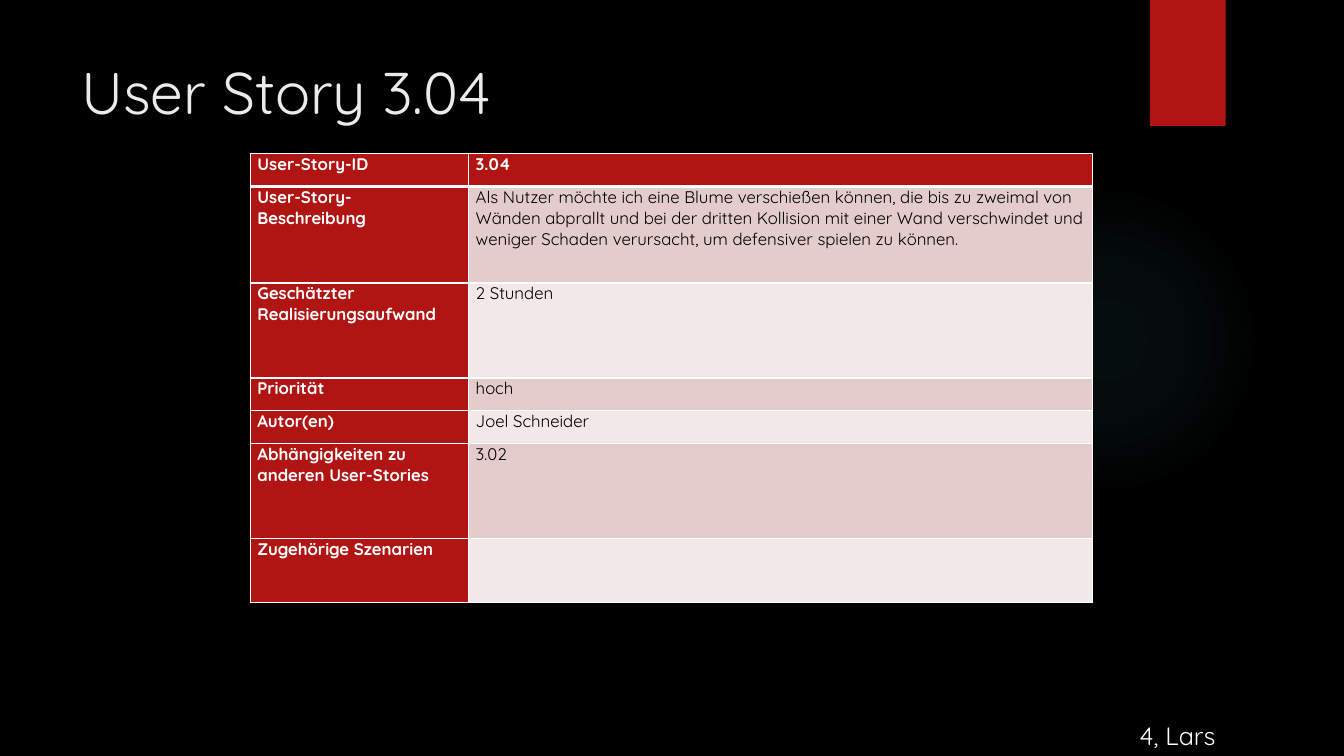
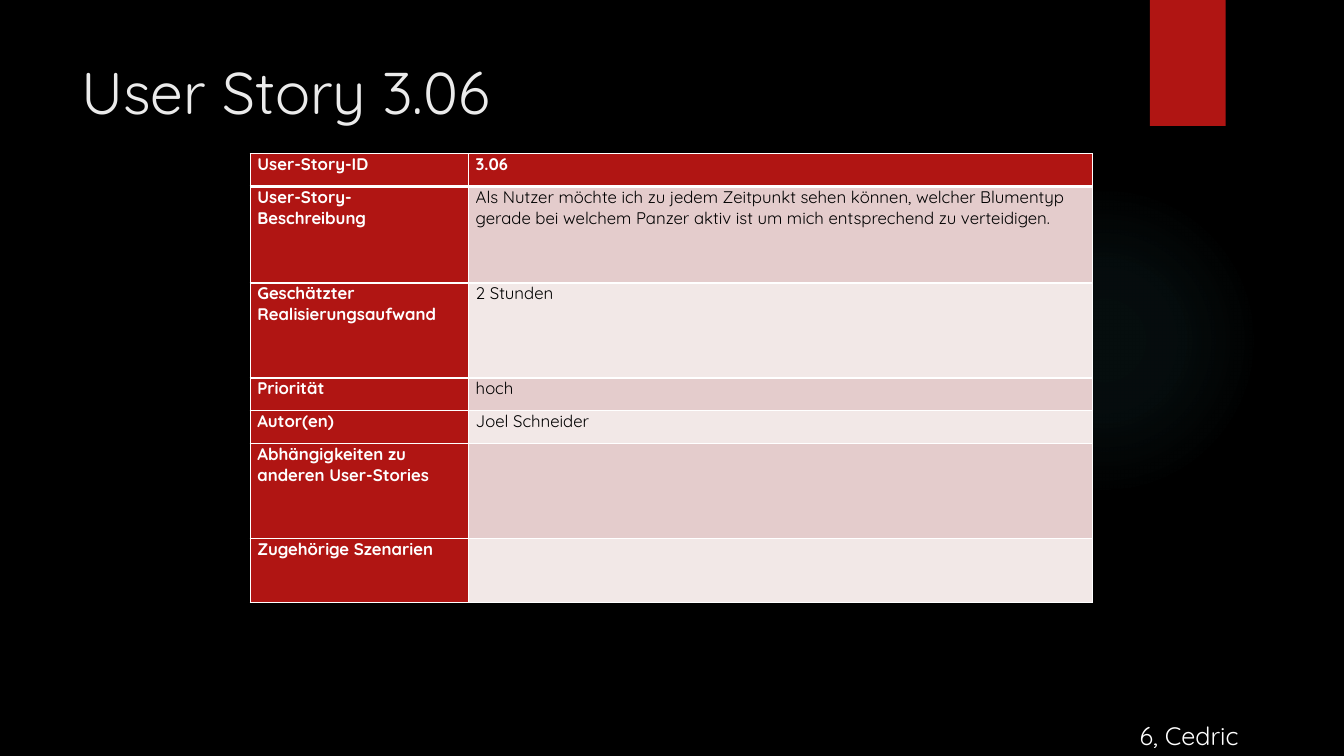
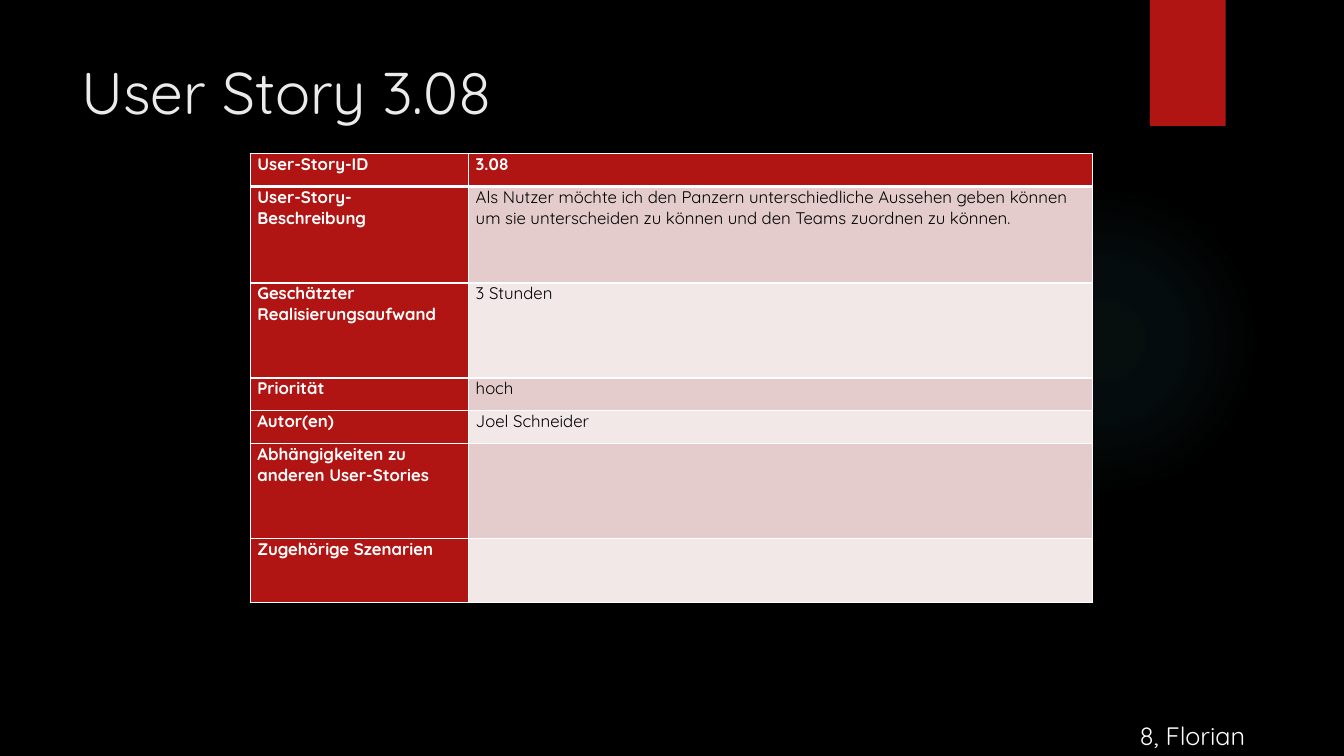
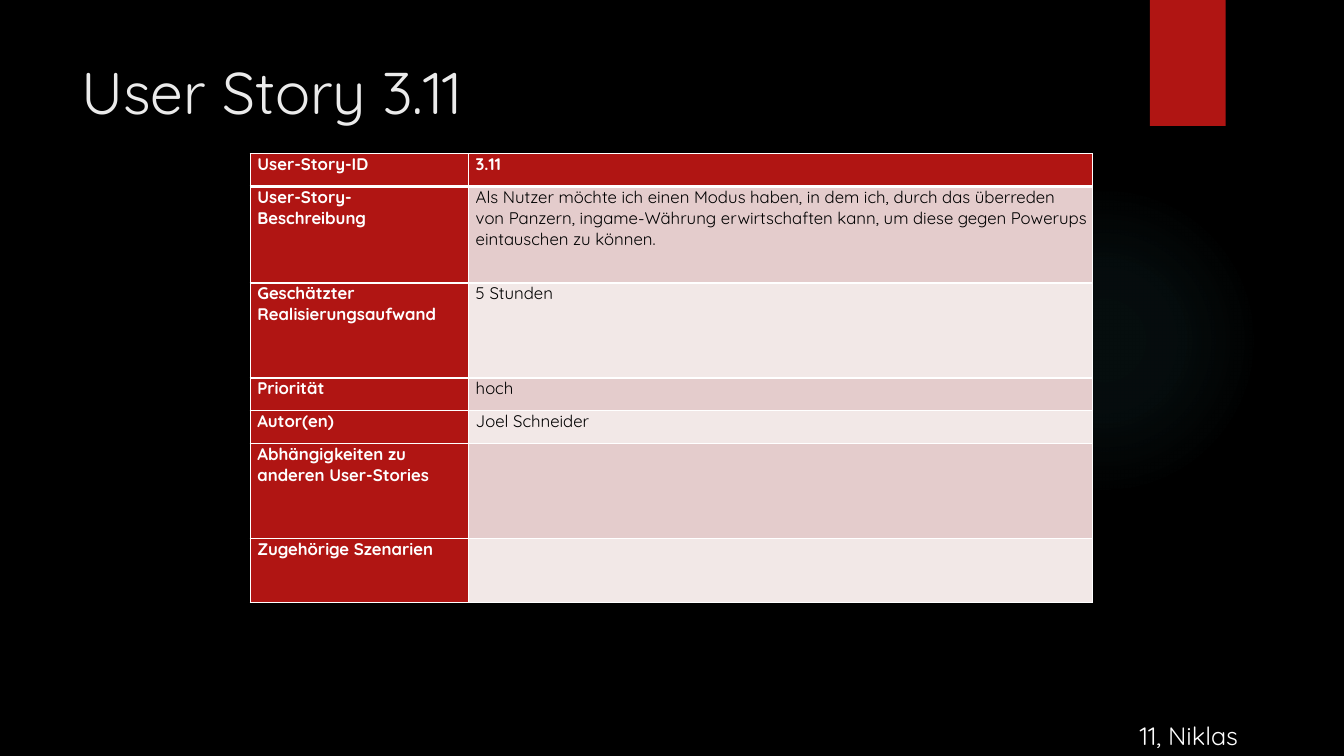
"""Build four user story slides, each with a title, a story table and a presenter."""
from pptx import Presentation
from pptx.dml.color import RGBColor
from pptx.enum.shapes import MSO_SHAPE
from pptx.enum.text import MSO_ANCHOR, MSO_AUTO_SIZE
from pptx.oxml import parse_xml
from pptx.oxml.ns import nsdecls
from pptx.util import Inches, Pt

FONT = "Quicksand"
BLACK, WHITE, TITLE_GREY = "000000", "FFFFFF", "EBEBEB"
RED, DARK_BAND, LIGHT_BAND, GLOW = "B01513", "E4CCCC", "F2E8E7", "50B9C1"

GRID = 60
GRID_AREAS = {
    "glow": (11.29, 2.2, 3.7, 3.7),
    "ribbon": (13.69, 0, 0.9, 1.5),
    "title": (0.85, 0.6, 12.35, 1.84),
    "table": (2.98, 1.83, 10.03, 5.34),
    "presenter": (13.45, 8.52, 2.55, 0.48),
}
AREAS = {name: [Pt(GRID * cells) for cells in area] for name, area in GRID_AREAS.items()}
COLUMN_WIDTHS = (2.6, 7.43)
ROW_HEIGHTS = (0.39, 1.15, 1.13, 0.39, 0.39, 1.13, 0.76)

LABELS = (
    "User-Story-ID",
    "User-Story-\nBeschreibung",
    "Geschätzter\nRealisierungsaufwand",
    "Priorität",
    "Autor(en)",
    "Abhängigkeiten zu anderen User-Stories",
    "Zugehörige Szenarien",
)
STORIES = (
    ("3.04", "Als Nutzer möchte ich eine Blume verschießen können, die bis zu zweimal von "
     "Wänden abprallt und bei der dritten Kollision mit einer Wand verschwindet und "
     "weniger Schaden verursacht, um defensiver spielen zu können.",
     "2 Stunden", "3.02", "4, Lars"),
    ("3.06", "Als Nutzer möchte ich zu jedem Zeitpunkt sehen können, welcher Blumentyp "
     "gerade bei welchem Panzer aktiv ist um mich entsprechend zu verteidigen.",
     "2 Stunden", "", "6, Cedric"),
    ("3.08", "Als Nutzer möchte ich den Panzern unterschiedliche Aussehen geben können "
     "um sie unterscheiden zu können und den Teams zuordnen zu können.",
     "3 Stunden", "", "8, Florian"),
    ("3.11", "Als Nutzer möchte ich einen Modus haben, in dem ich, durch das überreden von "
     "Panzern, ingame-Währung erwirtschaften kann, um diese gegen Powerups "
     "eintauschen zu können.",
     "5 Stunden", "", "11, Niklas"),
)


def paint(fill, color):
    """Give a fill or a font's fill one solid colour."""
    fill.solid()
    fill.fore_color.rgb = RGBColor.from_string(color)


def write(frame, text, size=12, color=WHITE, bold=False):
    """Write each line of the text as one formatted paragraph."""
    for number, line in enumerate(text.split("\n")):
        para = frame.add_paragraph() if number else frame.paragraphs[0]
        span = para.add_run()
        span.text = line
        span.font.name = FONT
        span.font.size = Pt(size)
        span.font.bold = bold
        paint(span.font.fill, color)


deck = Presentation()
deck.slide_width = Pt(GRID * 16)
deck.slide_height = Pt(GRID * 9)
paint(deck.slide_master.background.fill, BLACK)
layout = deck.slide_layouts.get_by_name("Title Only")
pages = [deck.slides.add_slide(layout) for story in STORIES]

glow = pages[0].shapes.add_shape(MSO_SHAPE.OVAL, *AREAS["glow"])
ribbon = pages[0].shapes.add_shape(MSO_SHAPE.RECTANGLE, *AREAS["ribbon"])
for position, shape in enumerate((glow, ribbon), start=2):
    shape.shadow.inherit = False
    shape.line.fill.background()
    paint(shape.fill, RED)
    layout.shapes.element.insert(position, shape.element)

stops = "".join(
    f'<a:gs pos="{place * 1000}"><a:srgbClr val="{GLOW}">'
    f'<a:alpha val="{alpha * 1000}"/></a:srgbClr></a:gs>'
    for place, alpha in ((0, 7), (36, 6), (69, 0), (100, 0))
)
glow_properties = glow.element.spPr
glow_properties.replace(glow_properties.find("{*}solidFill"), parse_xml(
    f'<a:gradFill {nsdecls("a")} rotWithShape="1"><a:gsLst>{stops}</a:gsLst>'
    '<a:path path="circle"><a:fillToRect l="50000" t="50000" r="50000" b="50000"/>'
    '</a:path></a:gradFill>'))
ribbon.element.spPr.find("{*}effectLst").append(parse_xml(
    f'<a:outerShdw {nsdecls("a")} blurRad="{Pt(3)}" dist="{Pt(2)}" dir="5400000">'
    f'<a:srgbClr val="{BLACK}"><a:alpha val="45000"/></a:srgbClr></a:outerShdw>'))

for page, (story_id, description, effort, dependencies, presenter) in zip(pages, STORIES):
    title = page.shapes.title
    title.left, title.top, title.width, title.height = AREAS["title"]
    title.text_frame.vertical_anchor = MSO_ANCHOR.TOP
    write(title.text_frame, f"User Story {story_id}", size=42, color=TITLE_GREY)
    title.text_frame.paragraphs[0].alignment = 1

    table = page.shapes.add_table(len(LABELS), 2, *AREAS["table"]).table
    for column, width in zip(table.columns, COLUMN_WIDTHS):
        column.width = Pt(GRID * width)
    values = (story_id, description, effort, "hoch", "Joel Schneider", dependencies, "")
    for row, (height, *texts) in enumerate(zip(ROW_HEIGHTS, LABELS, values)):
        table.rows[row].height = Pt(GRID * height)
        for column, text in enumerate(texts):
            cell = table.cell(row, column)
            cell.margin_left, cell.margin_right = Inches(0.07), Inches(0.04)
            cell.margin_top = cell.margin_bottom = 0
            heading = row == 0 or column == 0
            band = DARK_BAND if row % 2 else LIGHT_BAND
            paint(cell.fill, RED if heading else band)
            if text:
                write(cell.text_frame, text, color=WHITE if heading else BLACK, bold=heading)
            weights = {"L": 1, "R": 1, "T": 3 if row == 1 else 1, "B": 1 if row else 3}
            for order, (side, weight) in enumerate(weights.items()):
                cell.fill._xPr.insert(order, parse_xml(
                    f'<a:ln{side} {nsdecls("a")} w="{Pt(weight)}"><a:solidFill>'
                    f'<a:srgbClr val="{WHITE}"/></a:solidFill></a:ln{side}>'))

    box = page.shapes.add_textbox(*AREAS["presenter"])
    box.text_frame.word_wrap = True
    box.text_frame.auto_size = MSO_AUTO_SIZE.SHAPE_TO_FIT_TEXT
    write(box.text_frame, presenter, size=18)

deck.save("out.pptx")
